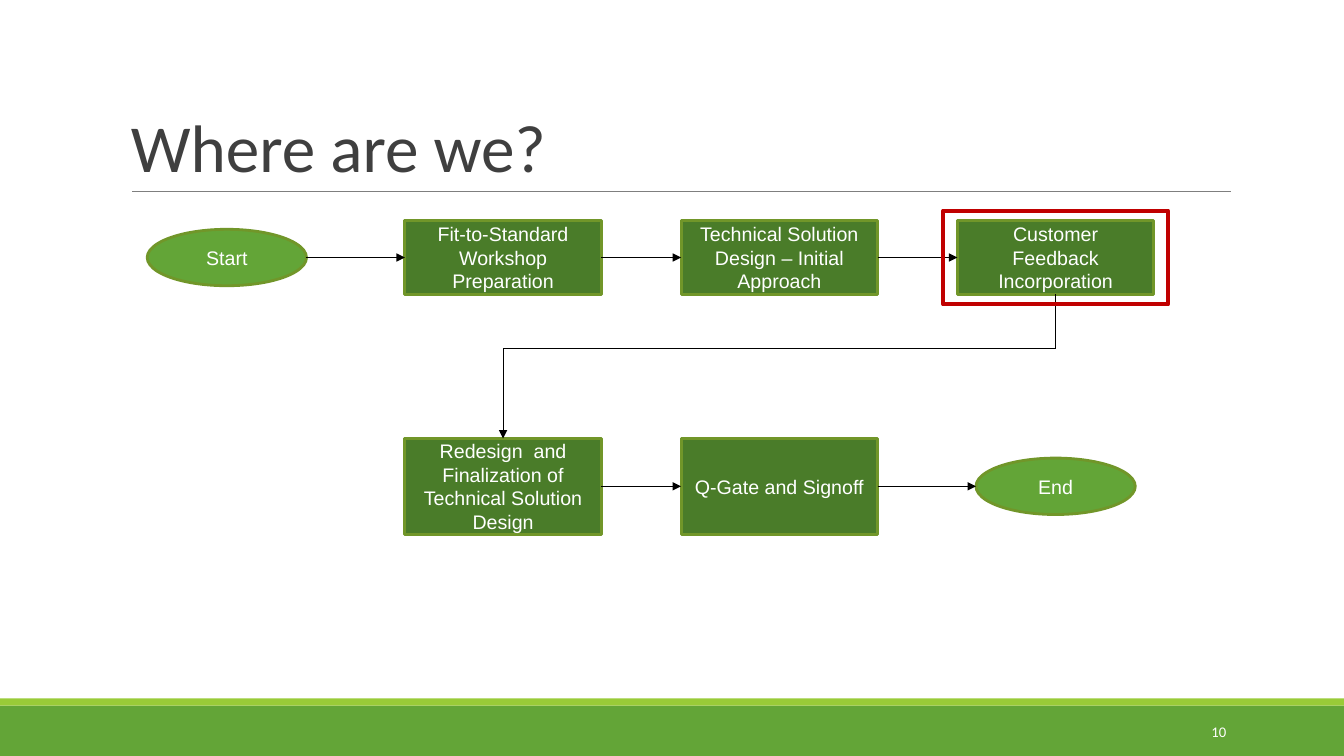
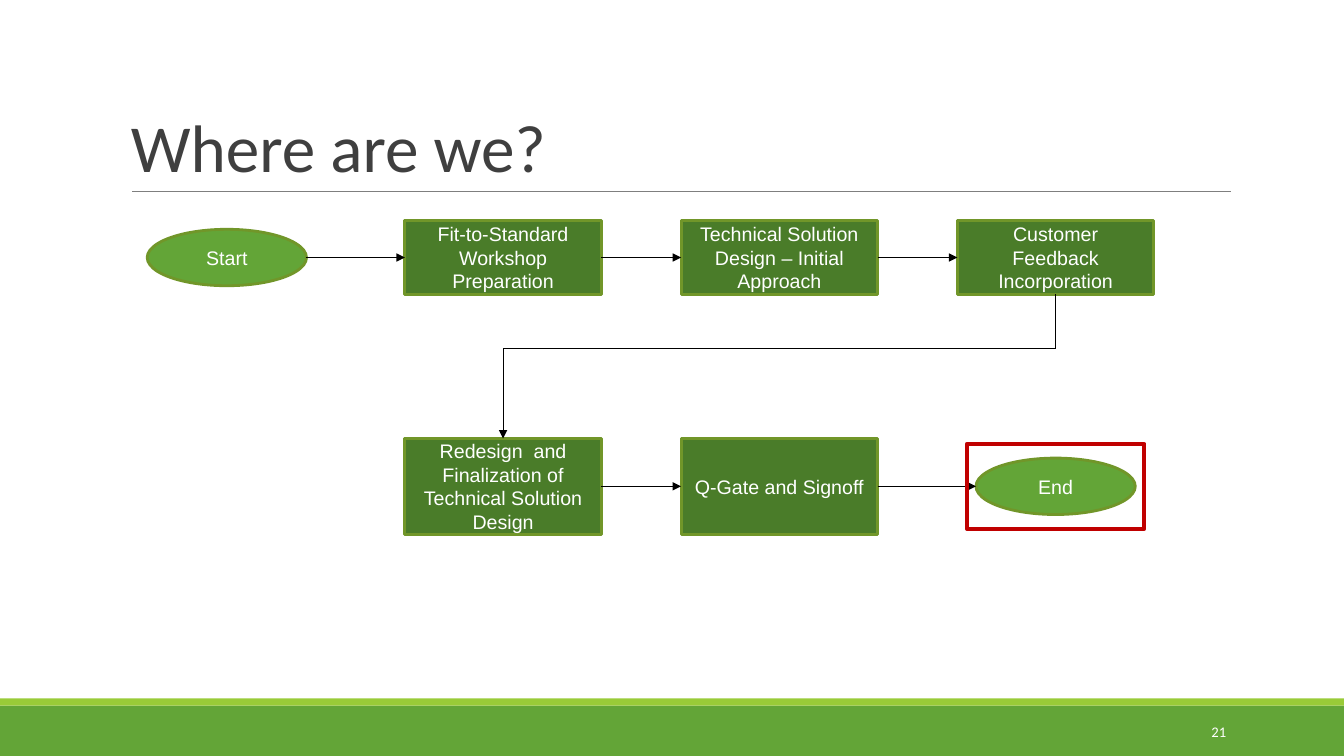
from dataclasses import dataclass
from pptx import Presentation
from pptx.dml.color import RGBColor
from pptx.enum import shapes, text
from pptx.oxml import parse_xml
from pptx.oxml.ns import nsdecls
from pptx.util import Inches, Pt

PAGES = [
    {"title": "Where are we?", "page": "10", "mark": "feedback", "pad": (0.14, 0.1)},
    {"title": "Where are we?", "page": "21", "mark": "end", "pad": (0.09, 0.14)},
]
STEPS = {
    "start": ("Start", 0, 0, "oval"),
    "prep": ("Fit-to-Standard Workshop Preparation", 1, 0, "box"),
    "design": ("Technical Solution Design – Initial Approach", 2, 0, "box"),
    "feedback": ("Customer Feedback Incorporation", 3, 0, "box"),
    "final": ("Redesign  and Finalization of Technical Solution Design", 1, 1, "box"),
    "gate": ("Q-Gate and Signoff", 2, 1, "box"),
    "end": ("End", 3, 1, "oval"),
}
FLOWS = [("start", "prep"), ("prep", "design"), ("design", "feedback"),
         ("final", "gate"), ("gate", "end")]
TURN = ("feedback", "final")


@dataclass(frozen=True)
class Theme:
    band: str = "63A537"
    strip: str = "99CB38"
    box: str = "4A7C29"
    edge: str = "719629"
    rule: str = "7F7F7F"
    ink: str = "3F3F3F"
    line: str = "000000"
    mark: str = "C00000"
    white: str = "FFFFFF"
    head: str = "Calibri"
    body: str = "Arial"
    big: float = 48
    mid: float = 14
    small: float = 10.5
    thin: float = 0.75
    thick: float = 2
    frame: float = 3


T = Theme()
WIDE, HIGH = 13.33, 7.5
LEFT, PITCH = 2.25, 2.74
ROWS = (2.555, 4.825)
BOXES = (0.73, 0.95)
BOX_W = 1.95
OVAL = (1.58, 0.56)
BEND = 3.46
FOOT = 0.5
STRIP = 0.07
TOP, SIDE, BASE, RIGHT = range(4)
RECT = shapes.MSO_SHAPE.RECTANGLE


def rgb(code):
    return RGBColor.from_string(code)


def write(shape, words, font, size, color, align, anchor):
    frame = shape.text_frame
    frame.word_wrap = True
    frame.vertical_anchor = anchor
    frame.text = words
    para = frame.paragraphs[0]
    para.alignment = align
    face = para.runs[0].font
    face.name, face.size, face.color.rgb = font, Pt(size), rgb(color)
    return para


def draw(slide, kind, area, fill=None, edge=None, width=T.thick):
    shape = slide.shapes.add_shape(kind, *map(Inches, area))
    shape.shadow.inherit = False
    if fill:
        shape.fill.solid()
        shape.fill.fore_color.rgb = rgb(fill)
    else:
        shape.fill.background()
    if edge:
        shape.line.color.rgb = rgb(edge)
        shape.line.width = Pt(width)
    else:
        shape.line.fill.background()
    return shape


def link(slide, start, end, color=T.line, arrow=False):
    line = slide.shapes.add_connector(
        shapes.MSO_CONNECTOR.STRAIGHT, *map(Inches, (*start, *end)))
    line.line.color.rgb = rgb(color)
    line.line.width = Pt(T.thin)
    if arrow:
        line.line._get_or_add_ln().append(
            parse_xml(f'<a:tailEnd {nsdecls("a")} type="triangle"/>'))
    line._element.spPr.append(parse_xml(f'<a:effectLst {nsdecls("a")}/>'))
    return line


def place(name):
    _, col, row, kind = STEPS[name]
    wide, high = OVAL if kind == "oval" else (BOX_W, BOXES[row])
    return LEFT + col * PITCH - wide / 2, ROWS[row] - high / 2, wide, high


def port(name, side):
    x, y, w, h = place(name)
    return {TOP: (x + w / 2, y), SIDE: (x, y + h / 2),
            BASE: (x + w / 2, y + h), RIGHT: (x + w, y + h / 2)}[side]


def base(slide, title, page):
    draw(slide, RECT, (0, HIGH - FOOT, WIDE, FOOT), T.band)
    draw(slide, RECT, (0, HIGH - FOOT - STRIP, WIDE, STRIP), T.strip)
    link(slide, (1.31, 1.9), (12.21, 1.9), T.rule)
    head = slide.shapes.add_textbox(*map(Inches, (1.2, 0.31, 11, 1.59)))
    para = write(head, title, T.head, T.big, T.ink,
                 text.PP_ALIGN.LEFT, text.MSO_ANCHOR.BOTTOM)
    para.line_spacing = 0.85
    num = slide.shapes.add_textbox(*map(Inches, (10.83, 7.06, 1.43, 0.4)))
    write(num, page, T.head, T.small, T.white,
          text.PP_ALIGN.RIGHT, text.MSO_ANCHOR.MIDDLE)


def chart(slide):
    nodes = {}
    for name, (words, _, _, kind) in STEPS.items():
        oval = kind == "oval"
        nodes[name] = draw(slide, shapes.MSO_SHAPE.OVAL if oval else RECT,
                           place(name), T.band if oval else T.box, T.edge)
        write(nodes[name], words, T.body, T.mid, T.white,
              text.PP_ALIGN.CENTER, text.MSO_ANCHOR.MIDDLE)
    for src, dest in FLOWS:
        line = link(slide, port(src, RIGHT), port(dest, SIDE), arrow=True)
        if STEPS[src][3] == "box":
            line.begin_connect(nodes[src], RIGHT)
        if STEPS[dest][3] == "box":
            line.end_connect(nodes[dest], SIDE)
    src, dest = TURN
    out, into = port(src, BASE), port(dest, TOP)
    near, far = (out[0], BEND), (into[0], BEND)
    link(slide, out, near).begin_connect(nodes[src], BASE)
    link(slide, near, far)
    link(slide, far, into, arrow=True).end_connect(nodes[dest], TOP)


def main():
    deck = Presentation()
    deck.slide_width, deck.slide_height = Inches(WIDE), Inches(HIGH)
    for item in PAGES:
        slide = deck.slides.add_slide(deck.slide_layouts[6])
        base(slide, item["title"], item["page"])
        chart(slide)
        x, y, w, h = place(item["mark"])
        dx, dy = item["pad"]
        draw(slide, RECT, (x - dx, y - dy, w + 2 * dx, h + 2 * dy),
             edge=T.mark, width=T.frame)
    deck.save("out.pptx")


if __name__ == "__main__":
    main()
